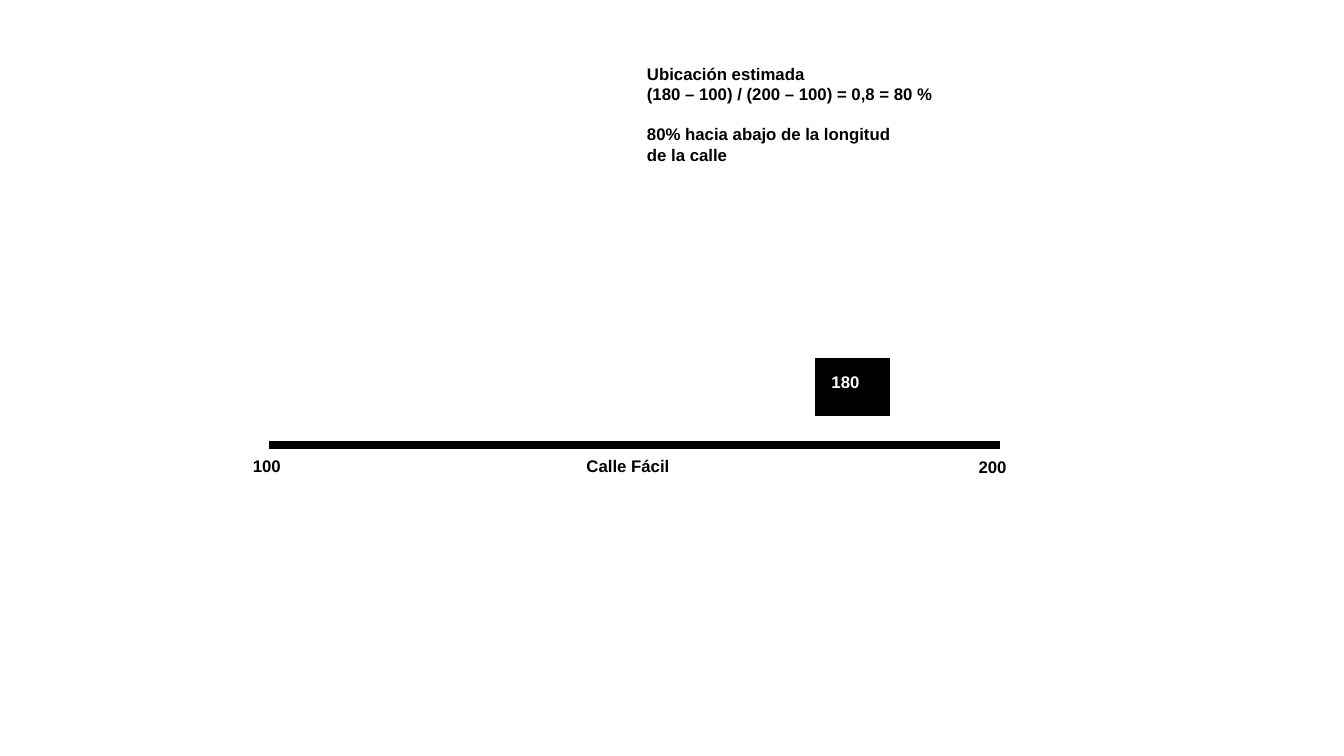
from lxml import etree
from pptx import Presentation
from pptx.dml.color import RGBColor
from pptx.enum.shapes import MSO_CONNECTOR, MSO_SHAPE
from pptx.enum.text import MSO_AUTO_SIZE
from pptx.oxml.ns import qn
from pptx.util import Pt

BLACK = RGBColor(0x00, 0x00, 0x00)
WHITE = RGBColor(0xFF, 0xFF, 0xFF)
STRAIGHT = MSO_CONNECTOR.STRAIGHT
RECTANGLE = MSO_SHAPE.RECTANGLE
FIT_SHAPE = MSO_AUTO_SIZE.SHAPE_TO_FIT_TEXT
FONT = {"name": "Arial", "size": Pt(12), "bold": True}
LINE_HEIGHT = 14.5
LABEL_HEIGHT = 21.6
NUMBER_WIDTH = 34.56


def add_street(page, left, right, top):
    """Draw the street as a thick horizontal line."""
    street = page.shapes.add_connector(
        STRAIGHT, Pt(left), Pt(top), Pt(right), Pt(top))
    street.line.color.rgb = BLACK
    street.line.width = Pt(6)
    etree.SubElement(street._element.spPr, qn("a:effectLst"))


def add_house(page, left, top, width, height):
    """Draw the house as a black rectangle."""
    house = page.shapes.add_shape(
        RECTANGLE, Pt(left), Pt(top), Pt(width), Pt(height))
    house.shadow.inherit = False
    house.fill.solid()
    house.fill.fore_color.rgb = BLACK
    house.line.color.rgb = WHITE
    house.line.width = Pt(0.5)


def add_label(page, lines, left, top, width, height=LABEL_HEIGHT, color=BLACK):
    """Add bold text from pairs of wording and space before it."""
    box = page.shapes.add_textbox(Pt(left), Pt(top), Pt(width), Pt(height))
    frame = box.text_frame
    frame.word_wrap = False
    frame.auto_size = FIT_SHAPE
    for index, (wording, gap) in enumerate(lines):
        para = frame.add_paragraph() if index else frame.paragraphs[0]
        para.space_before = Pt(gap)
        span = para.add_run()
        span.text = wording
        for name, value in FONT.items():
            setattr(span.font, name, value)
        span.font.color.rgb = color


def main():
    """Build the address location slide."""
    deck = Presentation()
    deck.slide_width, deck.slide_height = Pt(960), Pt(540)
    page = deck.slides.add_slide(deck.slide_layouts[6])
    add_street(page, 192, 714, 318)
    add_label(page, [("Calle Fácil", 0)], 411.84, 321.84, 74.16)
    add_label(page, [("100", 0)], 173.52, 321.84, NUMBER_WIDTH)
    add_label(page, [("200", 0)], 691.92, 322.9, NUMBER_WIDTH)
    add_house(page, 582, 255.6, 54, 41.76)
    add_label(page, [("180", 0)], 586.8, 262.08, NUMBER_WIDTH, color=WHITE)
    estimate = [
        ("Ubicación estimada", 0),
        ("(180 – 100) / (200 – 100) = 0,8 = 80 %", 0),
        ("80% hacia abajo de la longitud", LINE_HEIGHT),
        ("de la calle", 0),
    ]
    add_label(page, estimate, 455.04, 41.76, 220.32, 79.92)
    deck.save("out.pptx")


if __name__ == "__main__":
    main()
